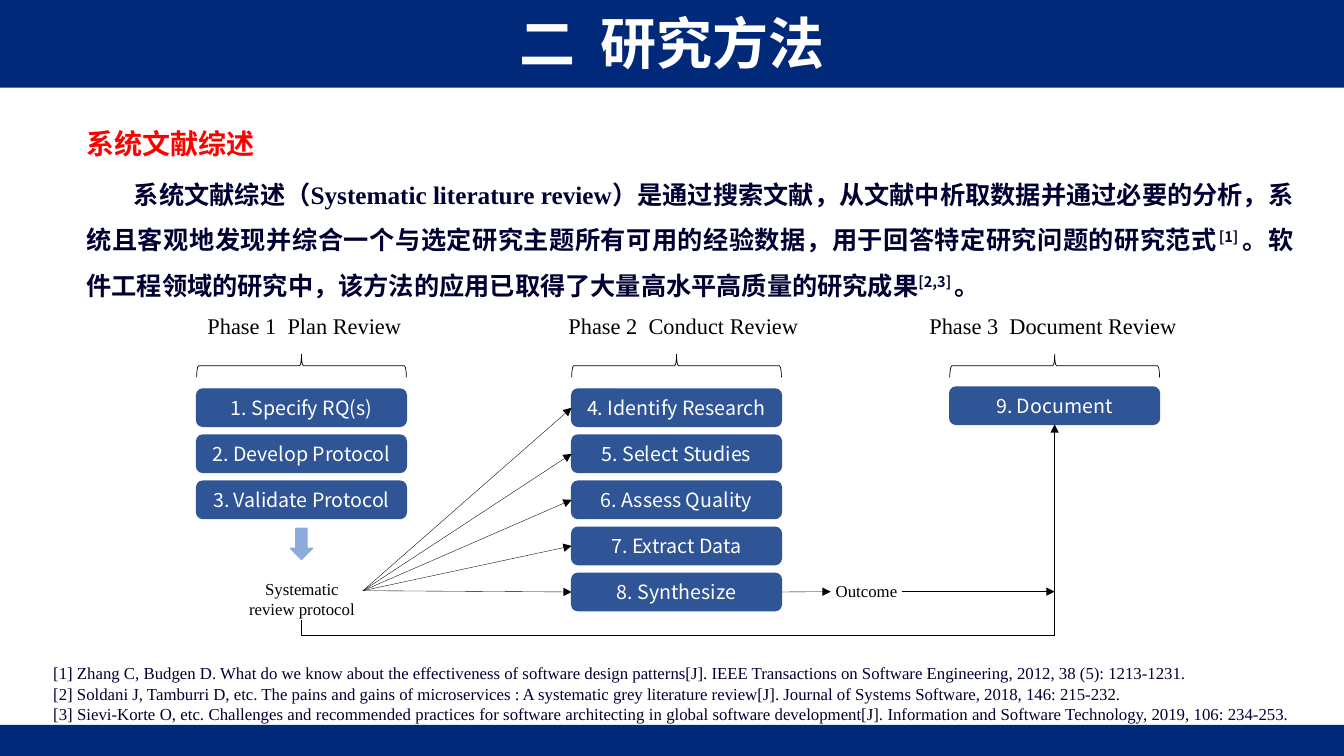
from dataclasses import dataclass

from lxml.etree import SubElement
from pptx import Presentation
from pptx.dml.color import RGBColor
from pptx.enum.shapes import MSO_CONNECTOR, MSO_SHAPE
from pptx.enum.text import MSO_ANCHOR, PP_ALIGN
from pptx.oxml.ns import qn
from pptx.util import Inches, Pt

TITLE = "二  研究方法"
HEADING = "系统文献综述"
BODY = [  # (text, is a citation mark)
    ("系统文献综述（Systematic literature review）是通过搜索文献，从文献中析取数据并通过必要的分析，"
     "系统且客观地发现并综合一个与选定研究主题所有可用的经验数据，用于回答特定研究问题的研究范式", False),
    ("[1] ", True),
    ("。软件工程领域的研究中，该方法的应用已取得了大量高水平高质量的研究成果", False),
    ("[2,3] ", True),
    ("。", False),
]
REFERENCES = [
    "[1] Zhang C, Budgen D. What do we know about the effectiveness of software design patterns[J]. "
    "IEEE Transactions on Software Engineering, 2012, 38 (5): 1213-1231. ",
    "[2] Soldani J, Tamburri D, etc. The pains and gains of microservices : A systematic grey "
    "literature review[J]. Journal of Systems Software, 2018, 146: 215-232.",
    "[3] Sievi-Korte O, etc. Challenges and recommended practices for software architecting in global "
    "software development[J]. Information and Software Technology, 2019, 106: 234-253. ",
]
PHASES = [  # (title, title left, column left, first row top, steps)
    ("Phase 1  Plan Review", 1.96, 1.95, 3.86,
     ["1. Specify RQ(s)", "2. Develop Protocol", "3. Validate Protocol"]),
    ("Phase 2  Conduct Review", 5.54, 5.67, 3.86,
     ["4. Identify Research", "5. Select Studies", "6. Assess Quality",
      "7. Extract Data", "8. Synthesize"]),
    ("Phase 3  Document Review", 9.12, 9.42, 3.84, ["9. Document"]),
]
PROTOCOL = "Systematic review protocol"
OUTCOME = "Outcome"


@dataclass(frozen=True)
class Theme:
    latin: str = "Times New Roman"
    sans: str = "Noto Sans CJK SC"
    navy: str = "00297A"
    ink: str = "000032"
    red: str = "FF0000"
    box: str = "2F5597"
    arrow: str = "8FAADC"
    white: str = "FFFFFF"
    black: str = "000000"
    title: int = 40
    heading: int = 20
    body: int = 18
    phase: int = 16
    step: int = 14
    small: int = 12


T = Theme()
W, H = 13.33, 7.5
BOX_W, BOX_H, ROW = 2.08, 0.37, 0.457
BRACE_H, BRACE_MID = 0.23, 3.63
FAN_X, FAN_Y = 3.6, 5.86
FLOW_Y, RETURN_Y = 5.87, 6.3

prs = Presentation()
prs.slide_width, prs.slide_height = Inches(W), Inches(H)
s = prs.slides.add_slide(prs.slide_layouts[6])


def rgb(code):
    return RGBColor.from_string(code)


def style(p, size, color, font=T.latin, bold=False, align=PP_ALIGN.LEFT):
    p.alignment = align
    f = p.font
    f.size, f.bold, f.name = Pt(size), bold, font
    f.color.rgb = rgb(color)
    SubElement(f._element, qn("a:ea")).set("typeface", T.sans)


def text(at, lines, size, color, anchor=MSO_ANCHOR.TOP, **look):
    """Add a wrapping text box with one paragraph per line and return its paragraphs."""
    tf = s.shapes.add_textbox(*map(Inches, at)).text_frame
    tf.word_wrap, tf.vertical_anchor = True, anchor
    tf.text = "\n".join(lines)
    for p in tf.paragraphs:
        style(p, size, color, **look)
    return tf.paragraphs


def shape(kind, at, fill=None, line=None, width=1):
    sp = s.shapes.add_shape(kind, *map(Inches, at))
    sp.shadow.inherit = False
    paint(sp, fill, line, width)
    return sp


def paint(sp, fill, line, width):
    if fill:
        sp.fill.solid()
        sp.fill.fore_color.rgb = rgb(fill)
    else:
        sp.fill.background()
    if line:
        sp.line.color.rgb, sp.line.width = rgb(line), Pt(width)
    else:
        sp.line.fill.background()


def step_box(left, top, label):
    sp = shape(MSO_SHAPE.ROUNDED_RECTANGLE, (left, top, BOX_W, BOX_H), T.box, T.box)
    tf = sp.text_frame
    tf.vertical_anchor, tf.text = MSO_ANCHOR.MIDDLE, label
    style(tf.paragraphs[0], T.step, T.white, T.sans, align=PP_ALIGN.CENTER)
    return sp


def arrow(start, end, source=None, target=None):
    """Draw a thin arrow; source and target are (shape, side) joints."""
    c = s.shapes.add_connector(MSO_CONNECTOR.STRAIGHT, *map(Inches, (*start, *end)))
    if source:
        c.begin_connect(*source)
    if target:
        c.end_connect(*target)
    c.line.color.rgb, c.line.width = rgb(T.black), Pt(0.25)
    SubElement(c.line._get_or_add_ln(), qn("a:tailEnd")).set("type", "triangle")
    SubElement(c._element.spPr, qn("a:effectLst"))


# Bands and title
for top, height in ((7.19, 0.31), (0, 0.87)):
    shape(MSO_SHAPE.RECTANGLE, (0, top, W, height), T.navy)
text((W / 8, 0, W * 3 / 4, 0.84), [TITLE], T.title, T.white, MSO_ANCHOR.MIDDLE,
     font=T.sans, bold=True, align=PP_ALIGN.CENTER)

# Heading, definition and references
heading = text((0.76, 1.04, 11.81, 0.73), [HEADING], T.heading, T.red,
               bold=True, align=PP_ALIGN.JUSTIFY)[0]
body = text((0.76, 1.58, 12.17, 1.57), [""], T.body, T.ink,
            bold=True, align=PP_ALIGN.JUSTIFY)[0]
heading.line_spacing = body.line_spacing = 1.5
body._p.get_or_add_pPr().set("indent", str(Inches(0.47)))
for words, is_citation in BODY:
    r = body.add_run()
    r.text = words
    if is_citation:
        r.font.name = T.sans
        r._r.get_or_add_rPr().set("baseline", "30000")
text((0.43, 6.53, 12.47, 0.56), REFERENCES, T.small, T.ink, align=PP_ALIGN.JUSTIFY)

# Phases: title, brace and a column of steps
columns = []
for name, name_left, left, top, steps in PHASES:
    text((name_left, 3.05, 3.07, 0.37), [name], T.phase, T.black)
    brace = shape(MSO_SHAPE.LEFT_BRACE,
                  (left + (BOX_W - BRACE_H) / 2, BRACE_MID - BOX_W / 2, BRACE_H, BOX_W),
                  line=T.black, width=0.5)
    brace.rotation = 90
    columns.append([step_box(left, top + i * ROW, label) for i, label in enumerate(steps)])
plan_x, _, document_x = (left + BOX_W / 2 for _, _, left, _, _ in PHASES)
_, conduct, (document,) = columns

# Protocol and outcome
shape(MSO_SHAPE.DOWN_ARROW, (plan_x - 0.11, 5.24, 0.22, 0.31), T.arrow, T.arrow)
text((2.29, 5.69, 1.41, 0.47), [PROTOCOL], T.small, T.black, align=PP_ALIGN.CENTER)
text((8.18, 5.71, 0.83, 0.19), [OUTCOME], T.small, T.black, align=PP_ALIGN.CENTER)

# Flow
for box in conduct:
    arrow((FAN_X, FAN_Y), (FAN_X, FAN_Y), target=(box, 1))
arrow((8, FLOW_Y), (8.24, FLOW_Y), source=(conduct[-1], 3))
arrow((8.95, FLOW_Y), (document_x, FLOW_Y))
arrow((document_x, RETURN_Y), (document_x, FLOW_Y), target=(document, 2))
path_builder = s.shapes.build_freeform(Inches(plan_x), Inches(6.15))
path_builder.add_line_segments(
    [(Inches(plan_x), Inches(RETURN_Y)), (Inches(document_x), Inches(RETURN_Y))], close=False)
return_line = path_builder.convert_to_shape()
return_line.shadow.inherit = False
paint(return_line, None, T.black, 0.25)

prs.save("out.pptx")
